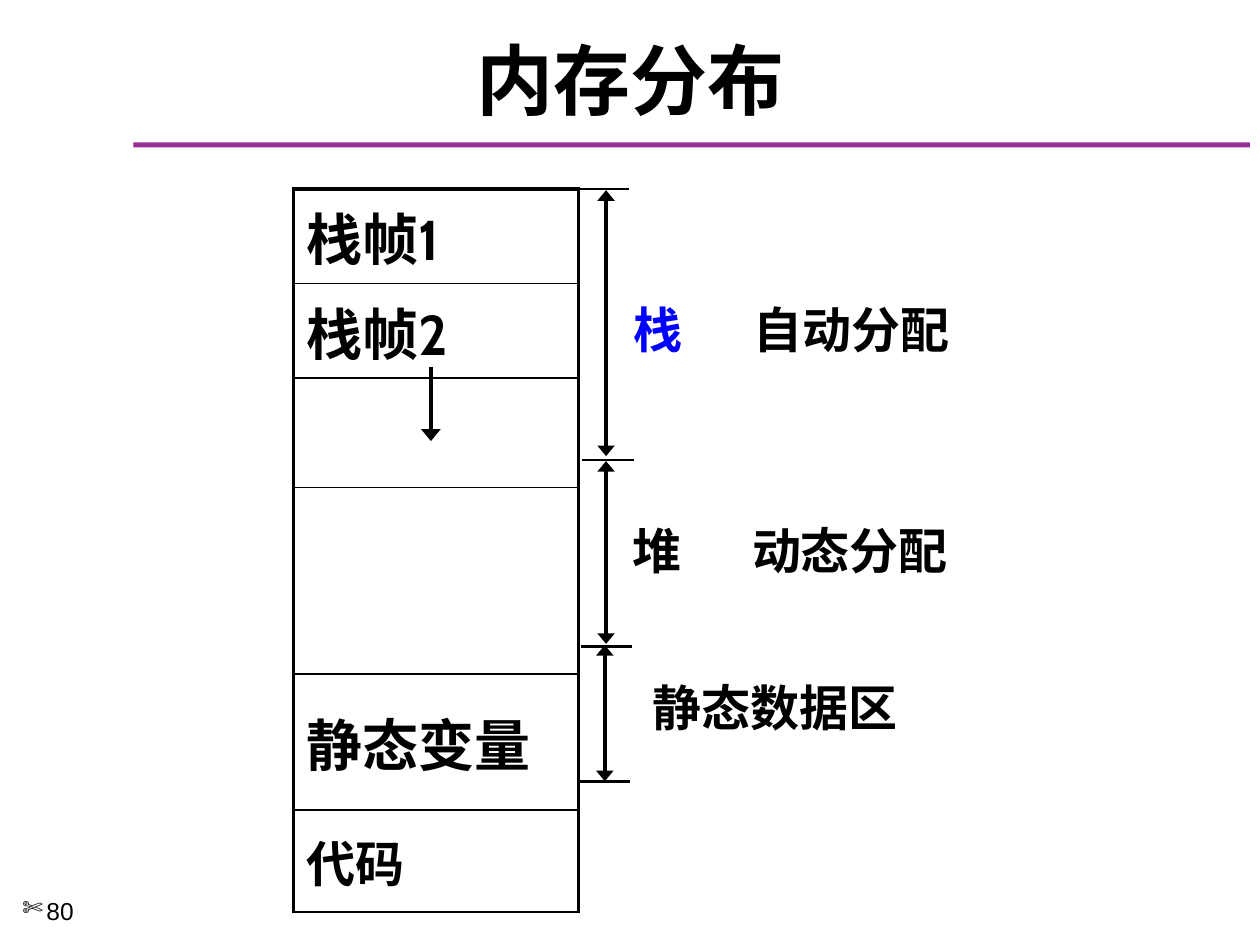
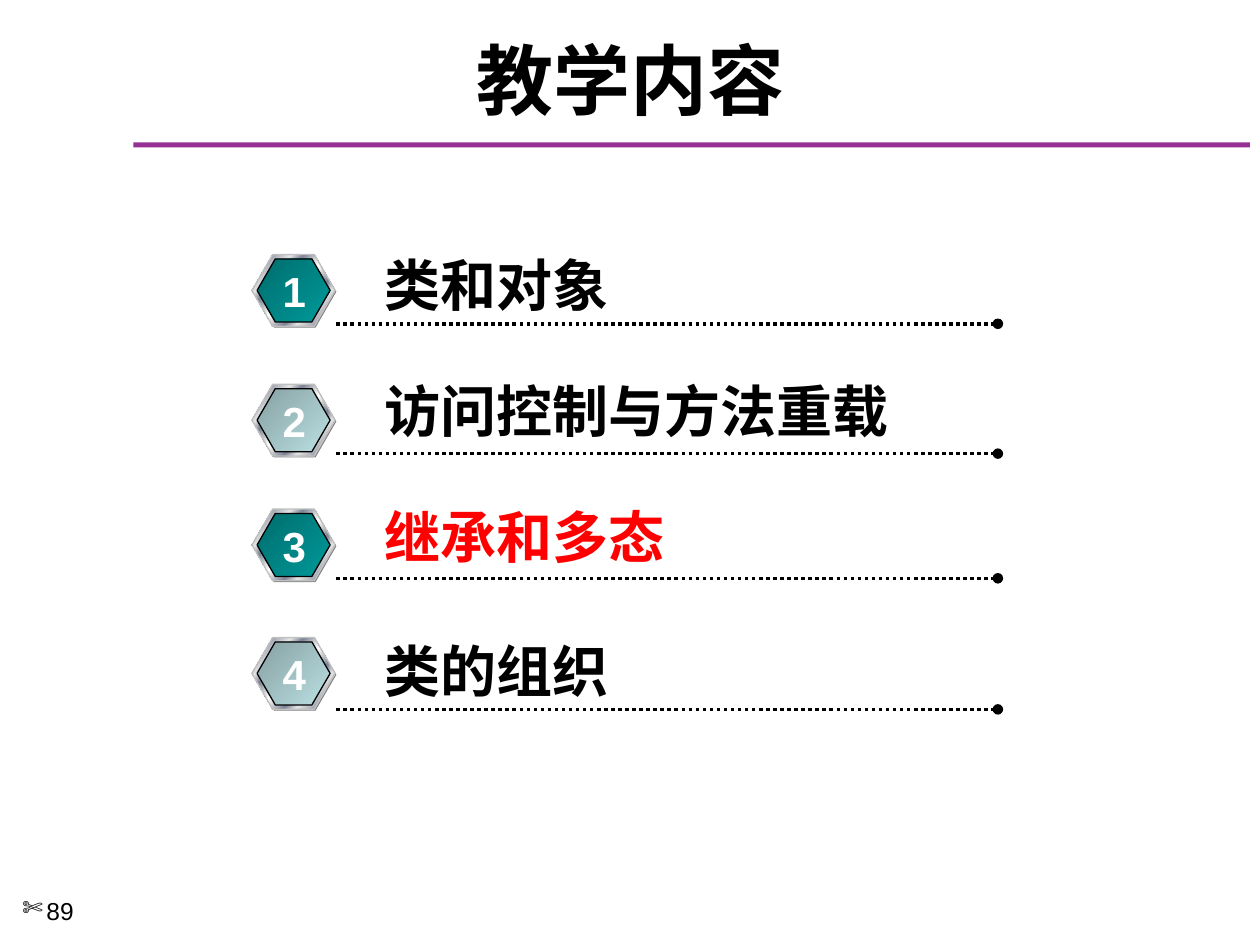
from lxml import etree
from pptx import Presentation
from pptx.dml.color import RGBColor
from pptx.enum.dml import MSO_LINE
from pptx.enum.shapes import MSO_CONNECTOR, MSO_SHAPE
from pptx.enum.text import MSO_ANCHOR, PP_ALIGN
from pptx.oxml.ns import qn
from pptx.util import Inches, Pt

STRAIGHT = MSO_CONNECTOR.STRAIGHT
RECTANGLE, HEXAGON = MSO_SHAPE.RECTANGLE, MSO_SHAPE.HEXAGON
DOTTED = MSO_LINE.ROUND_DOT
TOP, MIDDLE = MSO_ANCHOR.TOP, MSO_ANCHOR.MIDDLE
LEFT, CENTER = PP_ALIGN.LEFT, PP_ALIGN.CENTER

COLORS = {
    "ink": "000000", "rule": "973095", "white": "FFFFFF", "blue": "0000FF",
    "red": "FF0000", "shade": "808080", "rim": "C0C0C0",
}
CJK_FONT = "Noto Sans CJK SC"
END_WIDTHS = {"triangle": "lg", "oval": "med"}

# The slide is a grid of 10 columns by 7.5 rows; all lengths count cells
COLUMNS, ROWS = 10, 7.5
CELL = Inches(1)


def write_text(frame, text, size, color="ink", font="Arial", bold=True, align=LEFT):
    paragraph = frame.paragraphs[0]
    paragraph.alignment = align
    run = paragraph.add_run()
    run.text = text
    for name, value in {"size": Pt(size), "bold": bold, "name": font}.items():
        setattr(run.font, name, value)
    run.font.color.rgb = RGBColor.from_string(COLORS[color])
    east_asian = etree.SubElement(run.font._element, qn("a:ea"))
    east_asian.set("typeface", CJK_FONT)
    return paragraph


def add_line(slide, start, end, width, head=None, tail=None, dash=None):
    ends = [round(value * CELL) for value in (*start, *end)]
    connector = slide.shapes.add_connector(STRAIGHT, *ends)
    connector.line.width = Pt(width)
    connector.line.color.rgb = RGBColor.from_string(COLORS["ink"])
    if dash:
        connector.line.dash_style = dash
    for tag, kind in (("a:headEnd", head), ("a:tailEnd", tail)):
        if kind:
            line_end = etree.SubElement(connector.line._ln, qn(tag))
            line_end.set("type", kind)
            line_end.set("w", END_WIDTHS[kind])
    etree.SubElement(connector._element.spPr, qn("a:effectLst"))


presentation = Presentation()
presentation.slide_width = COLUMNS * CELL
presentation.slide_height = round(ROWS * CELL)

# Shared frame: title, rule and page number
slides = []
for title, page in (("内存分布", "80"), ("教学内容", "89")):
    slide = presentation.slides.add_slide(presentation.slide_layouts[6])
    slides.append(slide)
    box = [round(value * CELL) for value in (1.06, 1.13, 8.86, 0.04)]
    rule = slide.shapes.add_shape(RECTANGLE, *box)
    rule.shadow.inherit = False
    rule.fill.solid()
    rule.fill.fore_color.rgb = RGBColor.from_string(COLORS["rule"])
    rule.line.fill.background()

    box = [round(value * CELL) for value in (0.17, 0.25, 9.67, 0.75)]
    title_frame = slide.shapes.add_textbox(*box).text_frame
    title_frame.word_wrap = True
    title_frame.vertical_anchor = MIDDLE
    write_text(title_frame, title, 44, font=CJK_FONT, align=CENTER)

    box = [round(value * CELL) for value in (0.08, 7.06, 1.08, 0.44)]
    page_frame = slide.shapes.add_textbox(*box).text_frame
    page_frame.word_wrap = True
    paragraph = write_text(page_frame, page, 14, bold=False)
    properties = paragraph._p.get_or_add_pPr()
    indent = round(0.19 * CELL)
    properties.set("marL", str(indent))
    properties.set("indent", str(-indent))
    etree.SubElement(properties, qn("a:buChar")).set("char", "✄")

memory_slide, contents_slide = slides

# Memory column: row height, text, text size, line below
memory_rows = [
    (0.75, "栈帧1", 32, True), (0.75, "栈帧2", 32, True), (0.87, "", 0, True),
    (0.74, "", 0, False), (0.74, "", 0, True), (1.08, "静态变量", 32, True),
    (0.81, "代码", 28, True),
]
THICK, THIN = 2.25, 1
table_height = sum(row[0] for row in memory_rows)
box = [round(value * CELL) for value in (2.33, 1.5, 2.26, table_height)]
table = memory_slide.shapes.add_table(len(memory_rows), 1, *box).table
table.first_row = table.horz_banding = False
line_above = THICK
for index, (height, text, size, has_line) in enumerate(memory_rows):
    table.rows[index].height = round(height * CELL)
    cell = table.cell(index, 0)
    cell.vertical_anchor = MIDDLE
    cell.fill.background()
    if text:
        write_text(cell.text_frame, text, size, font="Cabin")
    line_below = THIN if has_line else 0
    borders = {"a:lnL": THICK, "a:lnR": THICK, "a:lnT": line_above, "a:lnB": line_below}
    for position, (tag, width) in enumerate(borders.items()):
        border = etree.Element(qn(tag), w=str(Pt(width)))
        if width:
            fill = etree.SubElement(border, qn("a:solidFill"))
            etree.SubElement(fill, qn("a:srgbClr")).set("val", COLORS["ink"])
        else:
            etree.SubElement(border, qn("a:noFill"))
        cell._tc.get_or_add_tcPr().insert(position, border)
    line_above = line_below

# Boundary ticks, area spans and the direction the stack grows
for left, top in ((4.58, 1.5), (4.62, 3.65), (4.61, 5.13), (4.59, 6.2)):
    add_line(memory_slide, (left, top), (left + 0.41, top), 1.5)
for left, top, bottom in ((4.81, 1.51, 3.62), (4.81, 3.66, 5.11), (4.8, 5.12, 6.2)):
    add_line(memory_slide, (left, top), (left, bottom), 2, "triangle", "triangle")
add_line(memory_slide, (3.42, 2.91), (3.42, 3.5), 2.25, tail="triangle")

# Area labels
area_labels = [
    (4.93, 2.33, 0.6, "栈", "blue"), (5.88, 2.33, 1.78, "自动分配", "ink"),
    (4.92, 4.08, 0.6, "堆", "ink"), (5.87, 4.08, 1.78, "动态分配", "ink"),
    (5.08, 5.33, 2.17, "静态数据区", "ink"),
]
for left, top, width, text, color in area_labels:
    box = [round(value * CELL) for value in (left, top, width, 0.57)]
    label = memory_slide.shapes.add_textbox(*box)
    label.text_frame.word_wrap = False
    write_text(label.text_frame, text, 28, color)

# Contents list: text, colour, text width, text top, hexagon top, dotted line
METAL = [(0, "E6E6E6"), (8, "7D8496"), (26, "E6E6E6"), (34, "7D8496"),
         (46, "E6E6E6"), (50, "FFFFFF"), (54, "E6E6E6"), (66, "7D8496"),
         (74, "E6E6E6"), (92, "7D8496"), (100, "E6E6E6")]
BADGE_FILLS = [[(0, "006D6D"), (100, "009999")], [(0, "86A0A2"), (100, "BBE0E3")]]
topics = [
    ("类和对象", "ink", 2, 1.94, 2.02, 2.57),
    ("访问控制与方法重载", "ink", 4.26, 2.94, 3.05, 3.6),
    ("继承和多态", "red", 2.45, 3.94, 4.04, 4.59),
    ("类的组织", "ink", 2, 5, 5.06, 5.63),
]
for index, (text, color, text_width, text_top, badge_top, line_top) in enumerate(topics):
    add_line(contents_slide, (2.67, line_top), (7.92, line_top), 2,
             tail="oval", dash=DOTTED)

    # Badge layers: shade, metal rim, coloured face
    layers = [
        (2.01, 0.01, 0.66, 0.57, None, None),
        (2, 0, 0.66, 0.57, METAL, "rim"),
        (2.04, 0.035, 0.58, 0.5, BADGE_FILLS[index % 2], "ink"),
    ]
    for left, offset, width, height, stops, outline in layers:
        box = [round(value * CELL) for value in (left, badge_top + offset, width, height)]
        badge = contents_slide.shapes.add_shape(HEXAGON, *box)
        badge.shadow.inherit = False
        badge.adjustments[0], badge.adjustments[1] = 0.289, 1.155
        if stops:
            badge.fill.gradient()
            badge.fill.gradient_angle = 315
            stop_list = badge._element.spPr.find(".//" + qn("a:gsLst"))
            for old_stop in list(stop_list):
                stop_list.remove(old_stop)
            for percent, stop_color in stops:
                stop = etree.SubElement(stop_list, qn("a:gs"))
                stop.set("pos", str(percent * 1000))
                etree.SubElement(stop, qn("a:srgbClr")).set("val", stop_color)
            badge.line.width = Pt(0.75)
            badge.line.color.rgb = RGBColor.from_string(COLORS[outline])
        else:
            badge.fill.solid()
            badge.fill.fore_color.rgb = RGBColor.from_string(COLORS["shade"])
            badge.line.fill.background()

    # Badge number and topic; the topic's right inset is dropped to keep one line
    entries = [
        ((2.14, badge_top + 0.04, 0.39, 0.5), str(index + 1), 24, "white", CENTER),
        ((2.95, text_top, text_width, 0.64), text, 32, color, LEFT),
    ]
    for area, words, size, word_color, align in entries:
        box = [round(value * CELL) for value in area]
        entry = contents_slide.shapes.add_textbox(*box)
        entry.text_frame.word_wrap = False
        entry.text_frame.vertical_anchor = TOP
        if align == LEFT:
            entry.text_frame.word_wrap = True
            entry.text_frame.margin_right = 0
        write_text(entry.text_frame, words, size, word_color, align=align)

presentation.save("out.pptx")
